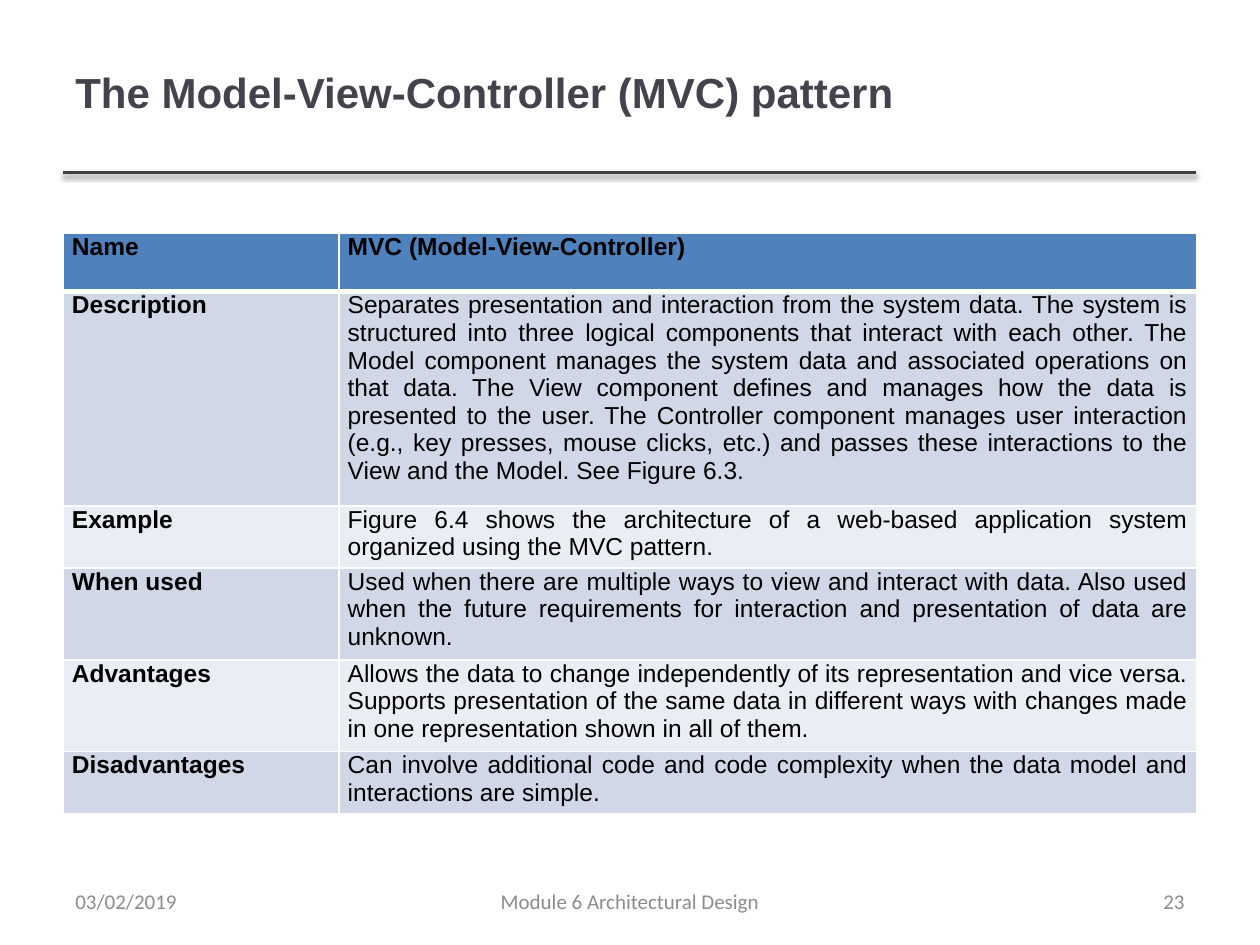
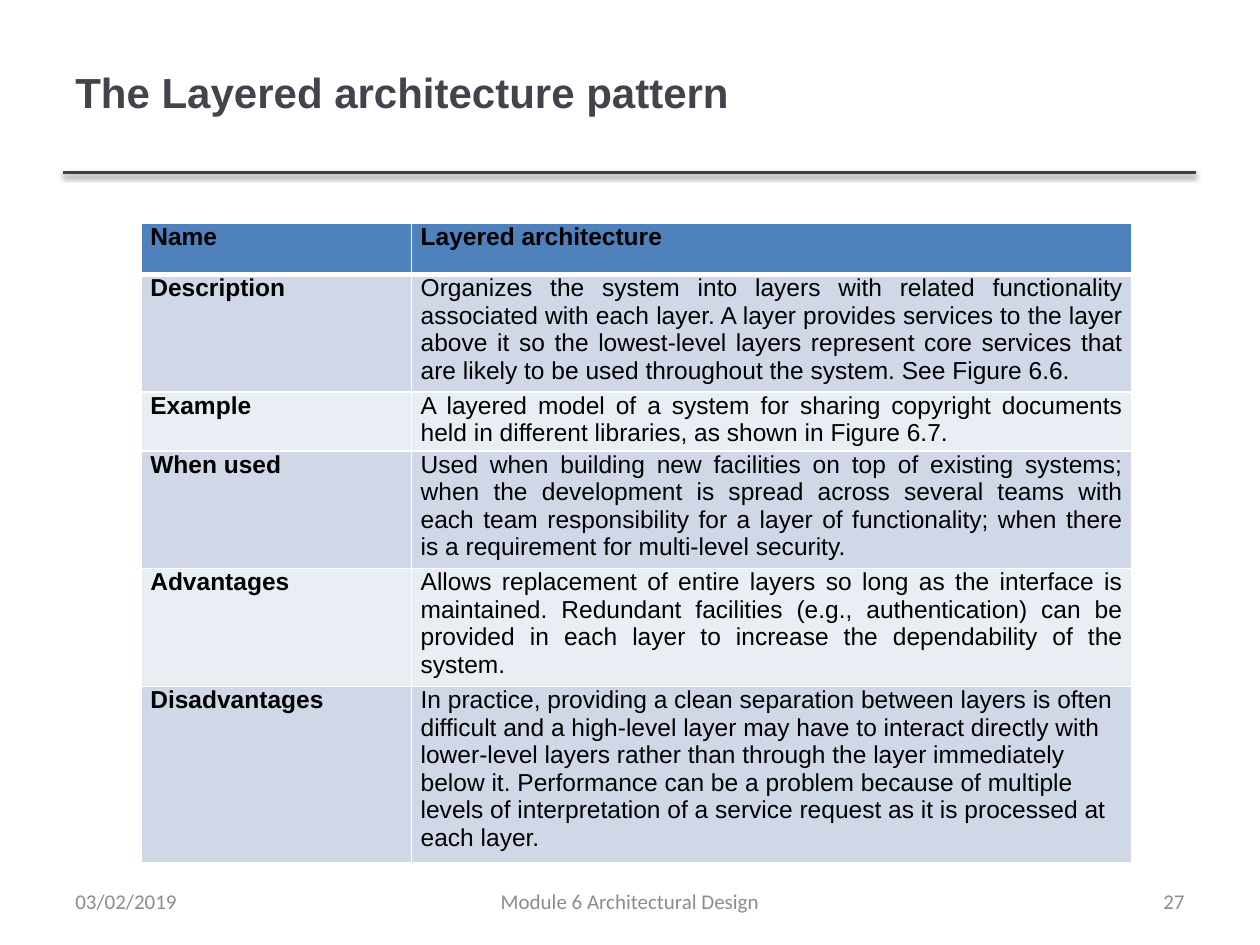
from dataclasses import dataclass

from lxml import etree
from pptx import Presentation
from pptx.dml.color import RGBColor
from pptx.enum.shapes import MSO_CONNECTOR
from pptx.enum.text import MSO_ANCHOR as Anchor, PP_ALIGN as Align
from pptx.oxml.ns import qn
from pptx.util import Cm, Pt

WHITE = RGBColor(0xFF, 0xFF, 0xFF)
BLACK = RGBColor(0x00, 0x00, 0x00)
TITLE_GREY = RGBColor(0x46, 0x42, 0x4D)
RULE_GREY = RGBColor(0x40, 0x40, 0x40)
FOOTER_GREY = RGBColor(0x8C, 0x8C, 0x8C)
HEADER_BLUE = RGBColor(0x4F, 0x81, 0xBD)
BAND_DARK = RGBColor(0xD0, 0xD8, 0xE8)
BAND_LIGHT = RGBColor(0xE9, 0xED, 0xF4)

MARGIN = 1.27
DATE = "03/02/2019"
MODULE = "Module 6 Architectural Design"
ROW_LABELS = ["Name", "Description", "Example", "When used", "Advantages", "Disadvantages"]


@dataclass
class Box:
    """Position and size in centimetres."""
    left: float
    top: float
    width: float
    height: float

    def lengths(self):
        return Cm(self.left), Cm(self.top), Cm(self.width), Cm(self.height)


def write_text(frame, text, size=14, font="Arial", color=BLACK, bold=False, align=Align.LEFT):
    para = frame.paragraphs[0]
    para.alignment = align
    span = para.add_run()
    span.text = text
    span.font.size = Pt(size)
    span.font.name = font
    span.font.color.rgb = color
    span.font.bold = bold


def add_label(page, box, text, **style):
    frame = page.shapes.add_textbox(*box.lengths()).text_frame
    frame.word_wrap = True
    frame.vertical_anchor = Anchor.MIDDLE
    write_text(frame, text, **style)


def add_shadow(line):
    """Soft shadow straight below the line."""
    effects = etree.SubElement(line._element.spPr, qn("a:effectLst"))
    shadow = etree.SubElement(effects, qn("a:outerShdw"), blurRad=str(Pt(3.1)),
                              dist=str(Pt(1.6)), dir="5400000", rotWithShape="0")
    color = etree.SubElement(shadow, qn("a:srgbClr"), val=str(BLACK))
    etree.SubElement(color, qn("a:alpha"), val="38000")


def add_heading(page, box, title):
    add_label(page, Box(box.left, box.top, 20.27, 3.18), title,
              size=24, color=TITLE_GREY, bold=True)
    rule_y = Cm(box.top + box.height)
    rule = page.shapes.add_connector(MSO_CONNECTOR.STRAIGHT, Cm(box.left), rule_y,
                                     Cm(box.left + box.width), rule_y)
    rule.line.color.rgb = RULE_GREY
    rule.line.width = Pt(2)
    add_shadow(rule)


def add_footer(page, box, number):
    side, middle = 5.92, 8.05
    parts = [
        (0, side, DATE, Align.LEFT),
        ((box.width - middle) / 2, middle, MODULE, Align.CENTER),
        (box.width - side, side, number, Align.RIGHT),
    ]
    for offset, width, text, align in parts:
        add_label(page, Box(box.left + offset, box.top, width, box.height), text,
                  size=12, font="Calibri", color=FOOTER_GREY, align=align)


def set_borders(cell, top=1, bottom=1):
    properties = cell._tc.get_or_add_tcPr()
    sides = [("lnL", 1), ("lnR", 1), ("lnT", top), ("lnB", bottom)]
    for index, (side, points) in enumerate(sides):
        border = etree.Element(qn(f"a:{side}"), w=str(Pt(points)))
        fill = etree.SubElement(border, qn("a:solidFill"))
        etree.SubElement(fill, qn("a:srgbClr"), val=str(WHITE))
        properties.insert(index, border)


def add_pattern_table(page, box, label_width, row_heights, entries, last_align):
    shape = page.shapes.add_table(len(entries), 2, *box.lengths())
    table = shape.table
    table.columns[0].width = Cm(label_width)
    table.columns[1].width = Cm(box.width - label_width)
    last = len(entries) - 1
    for index, texts in enumerate(zip(ROW_LABELS, entries)):
        table.rows[index].height = Cm(row_heights[index])
        band = HEADER_BLUE if index == 0 else BAND_DARK if index % 2 else BAND_LIGHT
        for column, text in enumerate(texts):
            cell = table.cell(index, column)
            cell.margin_left = cell.margin_right = Cm(0.18)
            cell.margin_top = cell.margin_bottom = 0
            cell.fill.solid()
            cell.fill.fore_color.rgb = band
            # The header is set off by a thicker line
            set_borders(cell, top=3 if index == 1 else 1, bottom=3 if index == 0 else 1)
            align = last_align if (index, column) == (last, 1) else Align.JUSTIFY
            write_text(cell.text_frame, text, bold=index == 0 or column == 0, align=align)
    shape.height = Cm(box.height)


def add_pattern_page(deck, title, number, box, label_width, row_heights, entries,
                     last_align=Align.JUSTIFY):
    page = deck.slides.add_slide(deck.slide_layouts[6])
    add_heading(page, Box(MARGIN, 0.25, 22.83, 3.23), title)
    add_pattern_table(page, box, label_width, row_heights, entries, last_align)
    add_footer(page, Box(MARGIN, 17.65, 22.86, 1.02), number)


MVC_ENTRIES = [
    "MVC (Model-View-Controller)",
    "Separates presentation and interaction from the system data. The system is structured "
    "into three logical components that interact with each other. The Model component manages "
    "the system data and associated operations on that data. The View component defines and "
    "manages how the data is presented to the user. The Controller component manages user "
    "interaction (e.g., key presses, mouse clicks, etc.) and passes these interactions to the "
    "View and the Model. See Figure 6.3.",
    "Figure 6.4 shows the architecture of a web-based application system organized using the "
    "MVC pattern.",
    "Used when there are multiple ways to view and interact with data. Also used when the "
    "future requirements for interaction and presentation of data are unknown.",
    "Allows the data to change independently of its representation and vice versa. Supports "
    "presentation of the same data in different ways with changes made in one representation "
    "shown in all of them.",
    "Can involve additional code and code complexity when the data model and interactions are "
    "simple.",
]

LAYERED_ENTRIES = [
    "Layered architecture",
    "Organizes the system into layers with related functionality associated with each layer. "
    "A layer provides services to the layer above it so the lowest-level layers represent core "
    "services that are likely to be used throughout the system. See Figure 6.6.",
    "A layered model of a system for sharing copyright documents held in different libraries, "
    "as shown in Figure 6.7.",
    "Used when building new facilities on top of existing systems; when the development is "
    "spread across several teams with each team responsibility for a layer of functionality; "
    "when there is a requirement for multi-level security.",
    "Allows replacement of entire layers so long as the interface is maintained. Redundant "
    "facilities (e.g., authentication) can be provided in each layer to increase the "
    "dependability of the system.",
    "In practice, providing a clean separation between layers is often difficult and a "
    "high-level layer may have to interact directly with lower-level layers rather than "
    "through the layer immediately below it. Performance can be a problem because of multiple "
    "levels of interpretation of a service request as it is processed at each layer.",
]


def main():
    deck = Presentation()
    deck.slide_width, deck.slide_height = Cm(25.4), Cm(19.05)
    add_pattern_page(deck, "The Model-View-Controller (MVC) pattern", "23",
                     Box(MARGIN, 4.7, 22.86, 11.7), 5.56,
                     [1.18, 4.32, 1.25, 1.85, 1.85, 1.25], MVC_ENTRIES)
    # Rows here grow with their text
    add_pattern_page(deck, "The Layered architecture pattern", "27",
                     Box(2.85, 4.5, 19.97, 12.88), 5.45,
                     [1.03] * len(ROW_LABELS), LAYERED_ENTRIES, last_align=Align.LEFT)
    deck.save("out.pptx")


if __name__ == "__main__":
    main()
